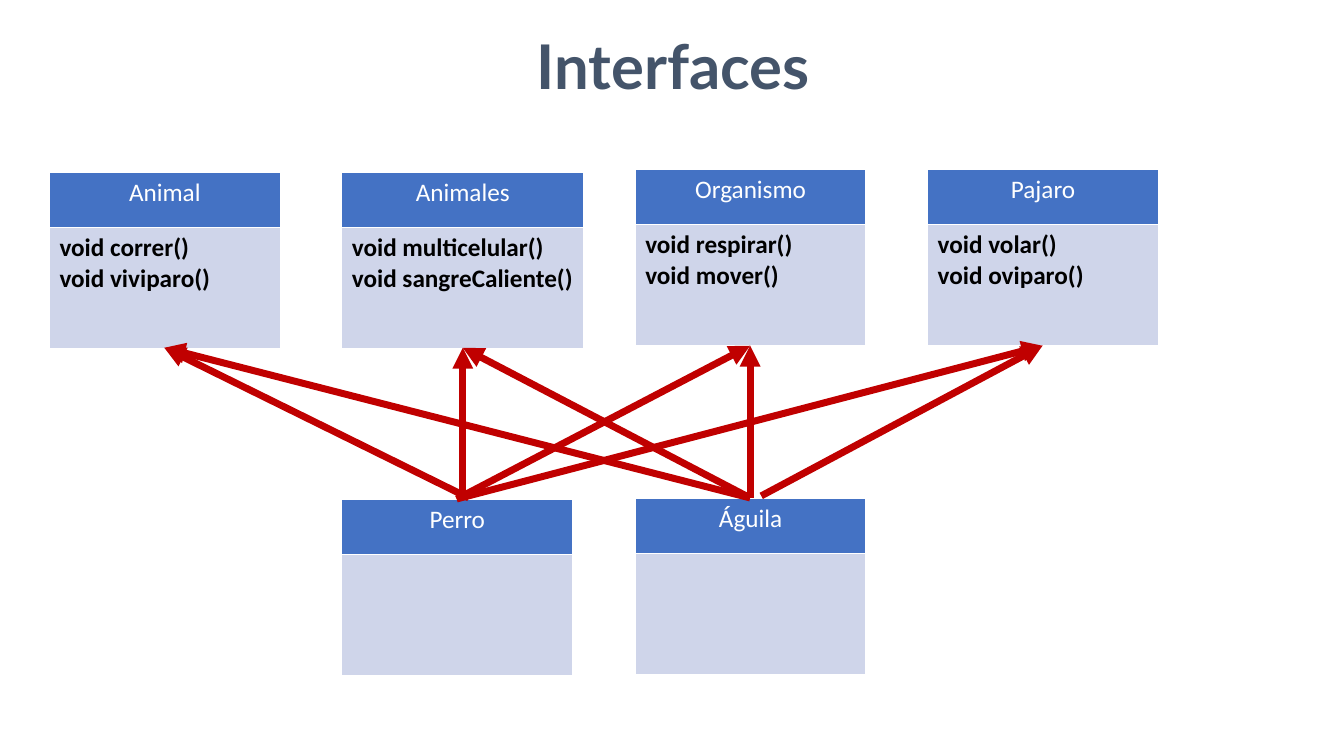
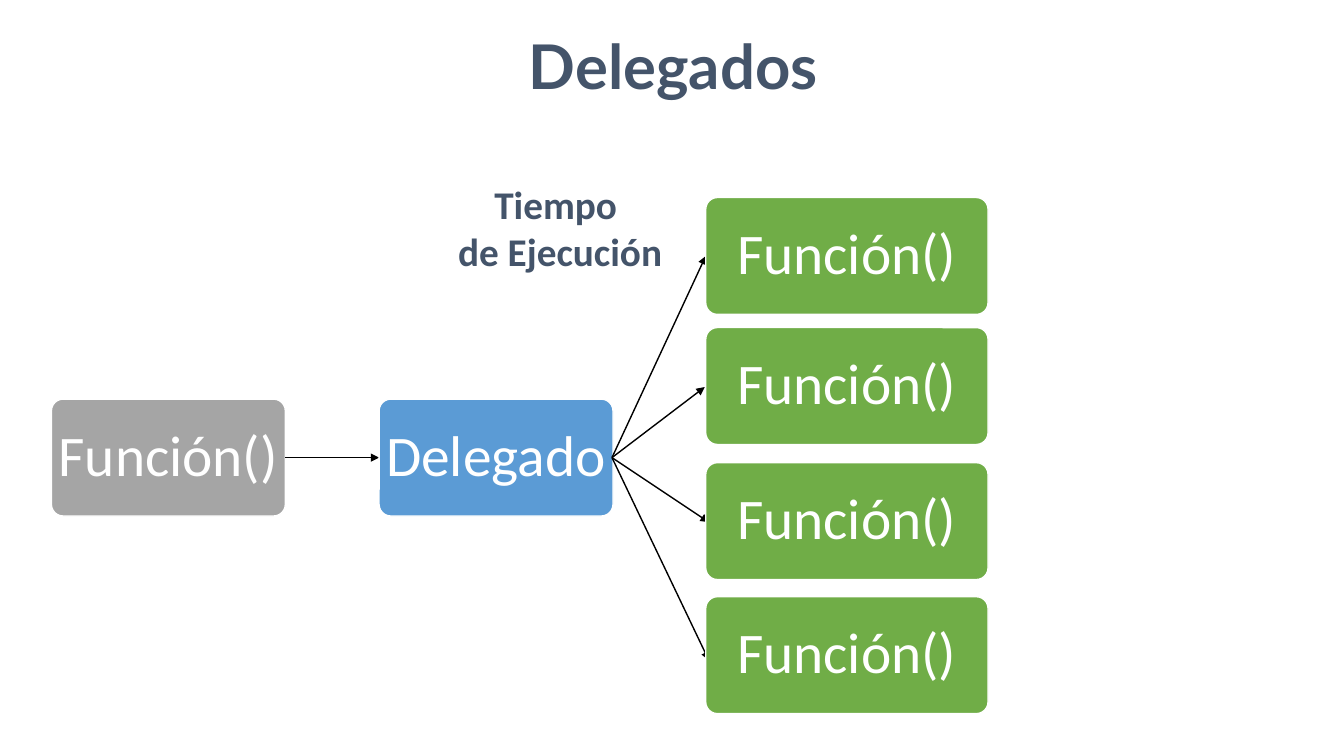
from dataclasses import dataclass

from lxml.etree import SubElement
from pptx import Presentation
from pptx.dml.color import RGBColor
from pptx.enum.shapes import MSO_CONNECTOR, MSO_SHAPE
from pptx.enum.text import MSO_ANCHOR, PP_ALIGN
from pptx.oxml.ns import qn
from pptx.util import Inches, Pt


@dataclass(frozen=True)
class Theme:
    """Colours, fonts and type sizes shared by the slides."""
    slate: str = "44546A"
    white: str = "FFFFFF"
    black: str = "000000"
    header: str = "4472C4"
    body: str = "CFD5EA"
    red: str = "C00000"
    grey: str = "A5A5A5"
    blue: str = "5B9BD5"
    green: str = "70AD47"
    title_font: str = "Lato"
    body_font: str = "Calibri"
    title_size: int = 44
    caption_size: int = 28
    node_size: int = 41
    table_size: int = 18


theme = Theme()


def write(frame, lines, size, color, bold=False, font=theme.body_font, align=PP_ALIGN.CENTER):
    """Fill a text frame with one paragraph per line in a single style."""
    frame.text = "\n".join(lines)
    for para in frame.paragraphs:
        para.alignment = align
        para.font.name = font
        para.font.size = Pt(size)
        para.font.bold = bold
        para.font.color.rgb = RGBColor.from_string(color)


def add_arrow(page, start, end, color, width):
    """Draw a straight arrow between two points given in inches."""
    arrow = page.shapes.add_connector(
        MSO_CONNECTOR.STRAIGHT, *(Inches(value) for value in (*start, *end)))
    arrow.line.color.rgb = RGBColor.from_string(color)
    arrow.line.width = Pt(width)
    SubElement(arrow.line._get_or_add_ln(), qn("a:tailEnd"), type="triangle")
    SubElement(arrow._element.spPr, qn("a:effectLst"))


deck = Presentation()
deck.slide_width, deck.slide_height = Inches(13.33), Inches(7.5)

# Both slides share the title
pages = []
for title in ("Interfaces", "Delegados"):
    page = deck.slides.add_slide(deck.slide_layouts[6])
    box = page.shapes.add_textbox(Inches(0.13), Inches(0.26), Inches(13.1), Inches(0.79))
    frame = box.text_frame
    frame.word_wrap = True
    frame.margin_left = frame.margin_right = Inches(0.05)
    frame.margin_top = frame.margin_bottom = Inches(0.02)
    write(frame, [title], theme.title_size, theme.slate, True, theme.title_font)
    pages.append(page)
interfaces, delegates = pages

# Interfaces: class tables
class_width = 2.29
header_height, body_height = 0.55, 1.2
columns = (0.49, 3.39, 6.3, 9.2)
classes = (
    ("Animal", ["void correr()", "void viviparo()"], columns[0], 1.71, class_width),
    ("Animales", ["void multicelular()", "void sangreCaliente()"], columns[1], 1.71, 2.4),
    ("Organismo", ["void respirar()", "void mover()"], columns[2], 1.68, class_width),
    ("Pajaro", ["void volar()", "void oviparo()"], columns[3], 1.68, class_width),
    ("Perro", [], columns[1], 4.95, class_width),
    ("Águila", [], columns[2], 4.94, class_width),
)
for name, methods, left, top, width in classes:
    table = interfaces.shapes.add_table(
        2, 1, Inches(left), Inches(top), Inches(width),
        Inches(header_height + body_height)).table
    table.first_row = table.horz_banding = False
    table.rows[0].height, table.rows[1].height = Inches(header_height), Inches(body_height)
    header, body = table.cell(0, 0), table.cell(1, 0)
    write(header.text_frame, [name], theme.table_size, theme.white)
    write(body.text_frame, methods, theme.table_size, theme.black, True, align=PP_ALIGN.LEFT)
    for cell, color in ((header, theme.header), (body, theme.body)):
        properties = cell._tc.get_or_add_tcPr()
        for side in ("a:lnL", "a:lnR", "a:lnT", "a:lnB"):
            border = SubElement(properties, qn(side), w=str(Pt(1)))
            fill = SubElement(border, qn("a:solidFill"))
            SubElement(fill, qn("a:srgbClr"), val=theme.white)
        cell.fill.solid()
        cell.fill.fore_color.rgb = RGBColor.from_string(color)

# Interfaces: each class points to the interfaces it implements
targets = ((1.63, 3.45), (4.59, 3.45), (7.44, 3.43), (10.34, 3.43))
dog_starts = ((4.65, 4.94), (4.59, 4.94), (4.53, 4.95), (4.53, 4.95))
eagle_starts = ((7.44, 4.94), (7.44, 4.94), (7.44, 4.94), (7.55, 4.92))
for starts in (dog_starts, eagle_starts):
    for start, target in zip(starts, targets):
        add_arrow(interfaces, start, target, theme.red, 5)

# Delegates: each node follows the arrow that leads to it
node_height = 1.16
fork = (6.07, 4.54)
nodes = (
    ("Función()", 0.51, 3.96, 2.32, theme.grey, None),
    ("Delegado", 3.76, 3.96, 2.32, theme.blue, ((2.83, 4.54), (3.76, 4.54))),
    ("Función()", 7, 1.96, 2.8, theme.green, (fork, (7, 2.54))),
    ("Función()", 7, 3.25, 2.8, theme.green, (fork, (6.99, 3.84))),
    ("Función()", 7, 4.59, 2.8, theme.green, (fork, (7.03, 5.18))),
    ("Función()", 7, 5.92, 2.8, theme.green, (fork, (7.03, 6.55))),
)
for label, left, top, width, color, route in nodes:
    if route:
        add_arrow(delegates, *route, theme.black, 1)
    node = delegates.shapes.add_shape(
        MSO_SHAPE.ROUNDED_RECTANGLE, Inches(left), Inches(top), Inches(width), Inches(node_height))
    node.adjustments[0] = 0.1
    node.shadow.inherit = False
    node.fill.solid()
    node.fill.fore_color.rgb = RGBColor.from_string(color)
    node.line.color.rgb = RGBColor.from_string(theme.white)
    node.line.width = Pt(1)
    frame = node.text_frame
    frame.word_wrap = False
    frame.vertical_anchor = MSO_ANCHOR.MIDDLE
    frame.margin_left = frame.margin_right = frame.margin_top = frame.margin_bottom = Inches(0.03)
    write(frame, [label], theme.node_size, theme.white)
    frame.paragraphs[0].line_spacing = 0.9

caption = delegates.shapes.add_textbox(Inches(4.43), Inches(1.74), Inches(2.25), Inches(1.04))
caption.text_frame.word_wrap = False
write(caption.text_frame, ["Tiempo ", "de Ejecución"], theme.caption_size, theme.slate, True)

deck.save("out.pptx")
